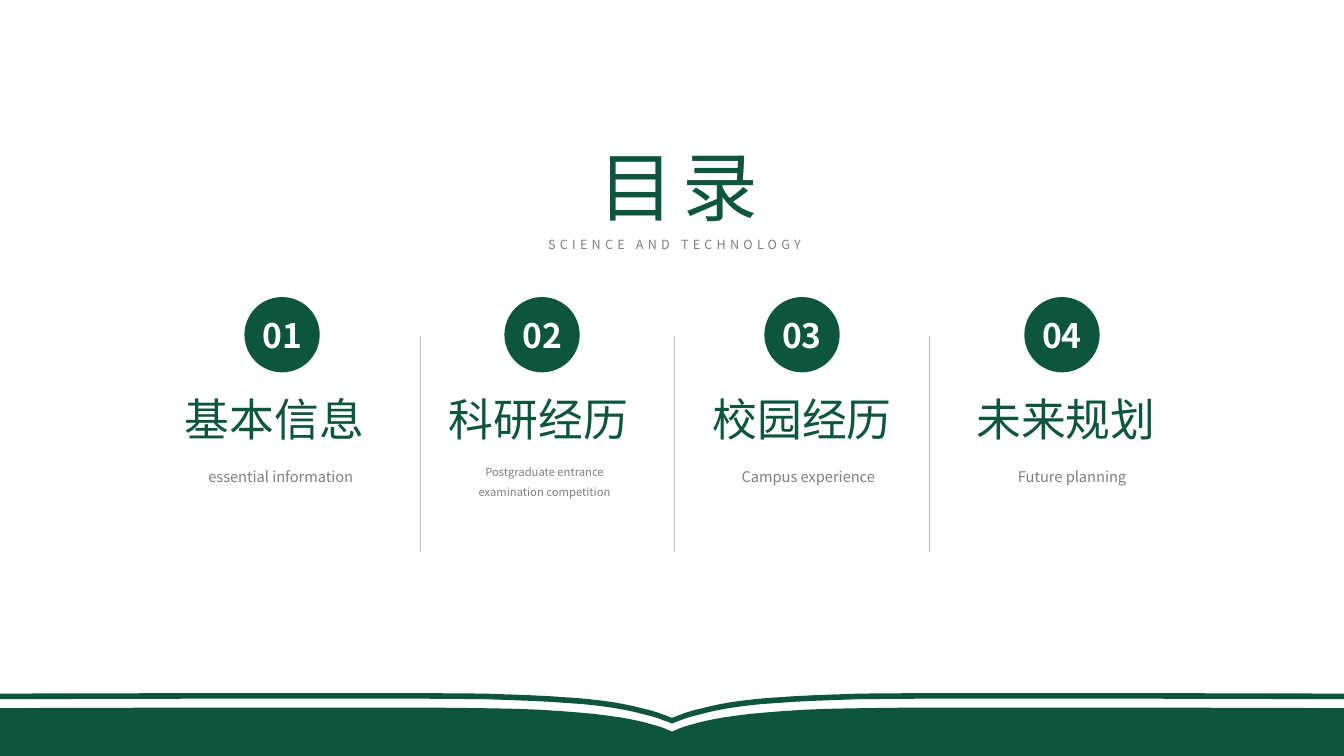
from lxml import etree
from pptx import Presentation
from pptx import util as u
from pptx.dml import color
from pptx.enum import shapes, text
from pptx.oxml import ns

Pt = u.Pt

TITLE = "目录"
SUBTITLE = "SCIENCE AND TECHNOLOGY"
SECTIONS = [  # number, heading, caption, caption size key, caption height
    ("01", "基本信息", "essential information", "caption", 19.4),
    ("02", "科研经历", "Postgraduate entrance examination competition", "small", 28.8),
    ("03", "校园经历", "Campus experience", "caption", 19.4),
    ("04", "未来规划", "Future planning", "caption", 19.4),
]

# Left half of each page edge of the open book; the right half mirrors it.
COVER_EDGE = [
    (0, 495.4), (170, 495), (306, 495.1), (346, 495.4), (363, 496), (379, 496.6),
    (393, 497.3), (406, 498.2), (418, 499.1), (428, 500.2), (438, 501.6),
    (446, 503), (453, 504.5), (459, 506), (465, 507.5), (470, 509),
    (474, 510.5), (477.5, 511.8), (480, 512.8),
]
PAGE_EDGE = [
    (0, 505.8), (152, 505.4), (306, 505.4), (340, 505.8), (354, 506), (371, 506.4),
    (386, 507), (400, 507.9), (412.5, 508.9), (424, 509.9), (434, 511.2),
    (443.5, 512.5), (451.5, 514), (458.5, 515.5), (464, 517), (469.5, 518.5),
    (474, 520), (477.5, 521.5), (480, 522.6),
]
COVER_THICKNESS = 4

THEME = {
    "font": "Noto Sans CJK SC",
    "green": color.RGBColor.from_string("0D553D"),
    "gray": color.RGBColor.from_string("808080"),
    "rule": color.RGBColor.from_string("BFBFBF"),
    "white": color.RGBColor.from_string("FFFFFF"),
    "title": 54, "subtitle": 9, "number": 24,
    "heading": 32, "caption": 10.5, "small": 8,
}

WIDTH, HEIGHT = 960, 540
CIRCLE_LEFT, CIRCLE_TOP, CIRCLE_STEP, CIRCLE_SIZE = 174.6, 212.2, 185.7, 53.8
HEADING_LEFT, HEADING_STEP = 113, 188.4
CAPTION_LEFT = 141.6
RULE_LEFT, RULE_STEP, RULE_TOP, RULE_BOTTOM = 300.2, 181.8, 240, 394


def write(sp, words, size, ink, bold=False, spacing=0):
    """Set one centred paragraph and format its run."""
    p = sp.text_frame.paragraphs[0]
    p.text = words
    p.alignment = text.PP_ALIGN.CENTER
    r = p.runs[0]
    r.font.size = Pt(THEME[size])
    r.font.name = THEME["font"]
    r.font.bold = bold
    r.font.color.rgb = THEME[ink]
    rpr = r.font._element
    east_asian = etree.Element(ns.qn("a:ea"), typeface=THEME["font"])
    rpr.find(ns.qn("a:latin")).addnext(east_asian)
    if spacing:
        rpr.set("spc", str(spacing * 100))
    return p


def set_margins(tf, margin):
    tf.margin_left = tf.margin_right = Pt(margin)
    tf.margin_top = tf.margin_bottom = Pt(margin)


def add_label(s, box, words, size, ink, spacing=0):
    sp = s.shapes.add_textbox(*map(Pt, box))
    sp.text_frame.word_wrap = True
    sp.text_frame.auto_size = text.MSO_AUTO_SIZE.SHAPE_TO_FIT_TEXT
    return sp, write(sp, words, size, ink, spacing=spacing)


def paint_green(sp):
    sp.shadow.inherit = False
    sp.fill.solid()
    sp.fill.fore_color.rgb = THEME["green"]
    sp.line.fill.background()


def mirrored(half):
    return half + [(WIDTH - x, y) for x, y in reversed(half[:-1])]


def add_outline(s, points):
    points = [(Pt(x), Pt(y)) for x, y in points]
    builder = s.shapes.build_freeform(*points[0], scale=1.0)
    builder.add_line_segments(points[1:], close=True)
    paint_green(builder.convert_to_shape())


def add_book(s):
    cover = mirrored(COVER_EDGE)
    underside = [(x, y + COVER_THICKNESS) for x, y in reversed(cover)]
    add_outline(s, cover + underside)
    add_outline(s, mirrored(PAGE_EDGE) + [(WIDTH, HEIGHT), (0, HEIGHT)])


def add_circle(s, index, number):
    left = CIRCLE_LEFT + index * CIRCLE_STEP
    sp = s.shapes.add_shape(shapes.MSO_SHAPE.OVAL, Pt(left), Pt(CIRCLE_TOP),
                            Pt(CIRCLE_SIZE), Pt(CIRCLE_SIZE))
    paint_green(sp)
    set_margins(sp.text_frame, 0)
    sp.text_frame.vertical_anchor = text.MSO_ANCHOR.MIDDLE
    write(sp, number, "number", "white", bold=True)


def add_rule(s, index):
    x = Pt(RULE_LEFT + index * RULE_STEP)
    line = s.shapes.add_connector(shapes.MSO_CONNECTOR.STRAIGHT,
                                  x, Pt(RULE_TOP), x, Pt(RULE_BOTTOM))
    line.line.color.rgb = THEME["rule"]
    line.line.width = Pt(0.5)
    etree.SubElement(line._element.spPr, ns.qn("a:effectLst"))


def add_section(s, index, section):
    number, heading, caption, size, height = section
    shift = index * HEADING_STEP
    add_circle(s, index, number)
    add_label(s, (HEADING_LEFT + shift, 276.4, 166.4, 46), heading, "heading", "green")
    sp, p = add_label(s, (CAPTION_LEFT + shift, 327.6, 118, height), caption, size, "gray")
    set_margins(sp.text_frame, 0)
    p.line_spacing = 1.5


def main():
    prs = Presentation()
    prs.slide_width, prs.slide_height = Pt(WIDTH), Pt(HEIGHT)
    s = prs.slides.add_slide(prs.slide_layouts[6])
    add_book(s)
    add_label(s, (377.4, 165.6, 208.8, 18.2), SUBTITLE, "subtitle", "gray", spacing=3)
    add_label(s, (415.6, 96.5, 138.2, 72.7), TITLE, "title", "green", spacing=6)
    for index in range(len(SECTIONS) - 1):
        add_rule(s, index)
    for index, section in enumerate(SECTIONS):
        add_section(s, index, section)
    prs.save("out.pptx")


if __name__ == "__main__":
    main()
